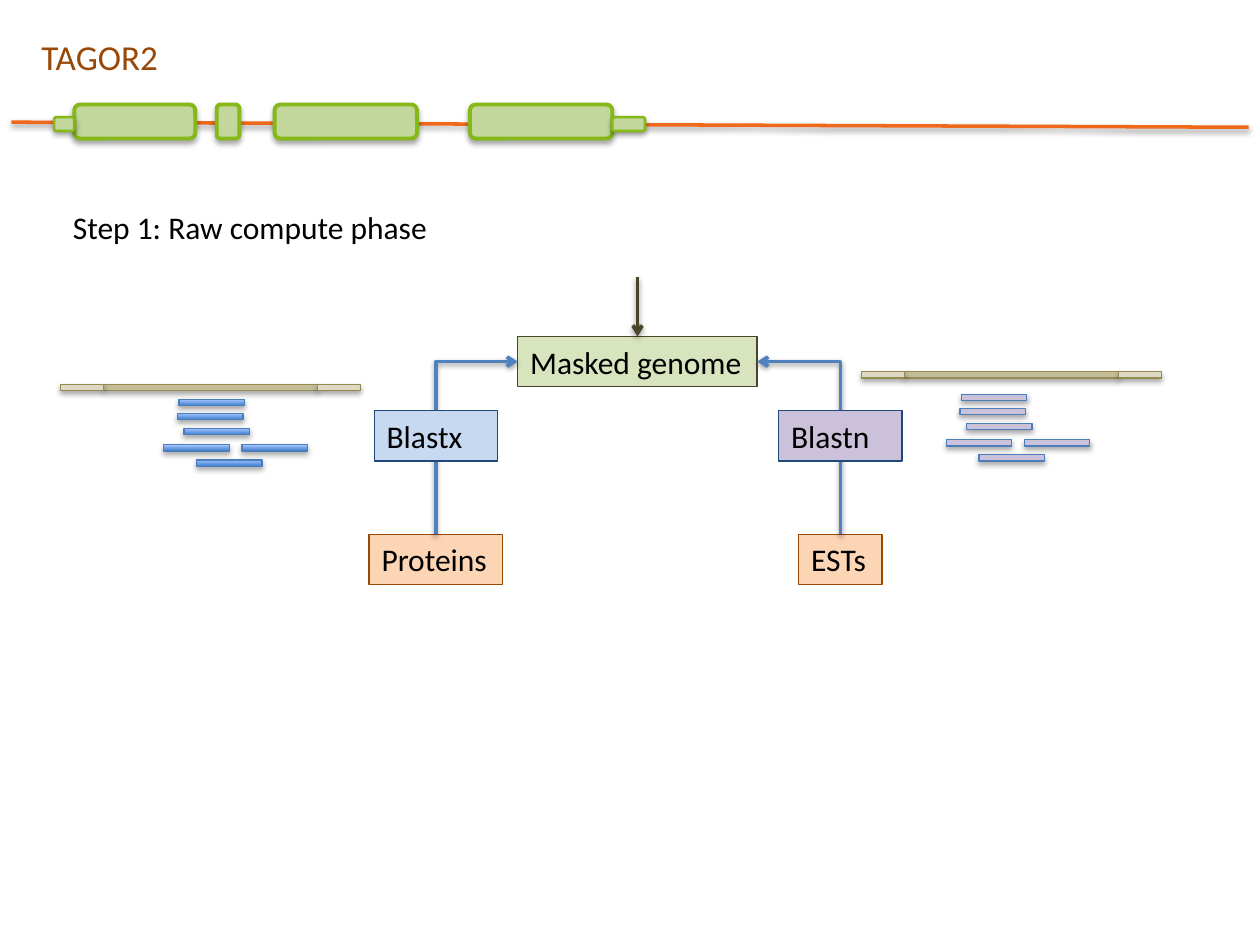
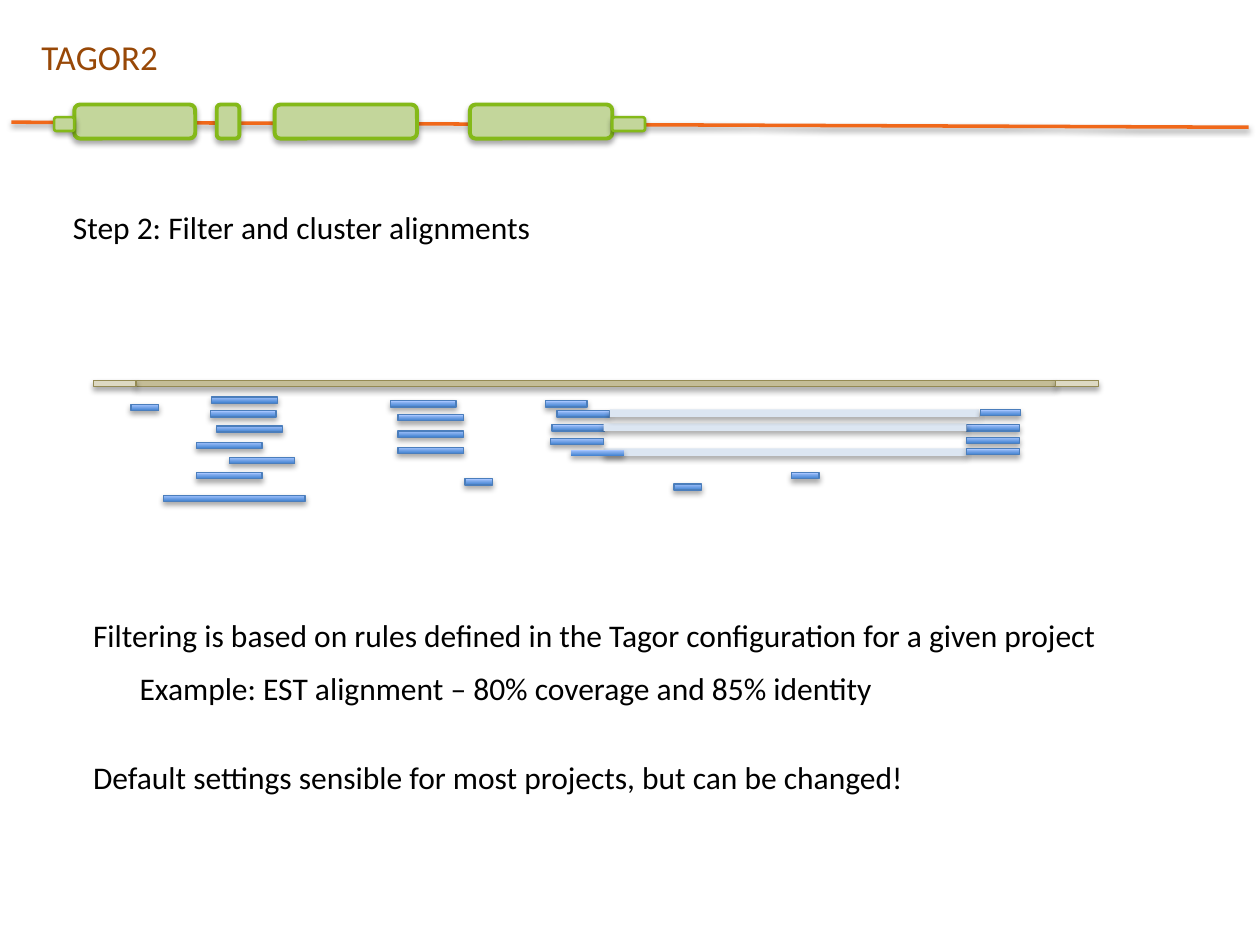
from dataclasses import dataclass

from lxml import etree
from pptx import Presentation
from pptx.dml.color import RGBColor
from pptx.enum import shapes as kinds, text as txt
from pptx.oxml import ns
from pptx.util import Inches, Pt


@dataclass(frozen=True)
class Theme:
    font: str = "Calibri"
    head: int = 20
    body: int = 18
    ink: str = "000000"
    brown: str = "984807"
    peach: str = "FCD5B5"
    orange: str = "F0681A"
    leaf: str = "C3D69B"
    green: str = "84B919"
    sage: str = "D7E4BD"
    olive: str = "4A452A"
    navy: str = "1F497D"
    sky: str = "C6D9F1"
    lilac: str = "CCC1DA"
    arrow: str = "4F81BD"
    edge: str = "4B7EBC"
    pale: str = "DCE6F2"
    sand: str = "C4BD97"
    flank: str = "DDD9C3"
    earth: str = "948A54"
    blue: tuple = ("3F80CE", "A4C4FF")


T = Theme()
RECT = kinds.MSO_SHAPE.RECTANGLE
ROUND = kinds.MSO_SHAPE.ROUNDED_RECTANGLE
THIN = 0.05    # height of an alignment bar
HIT = 0.52     # usual length of an alignment
FLANK = 0.34   # length of each contig end
# Offsets of stacked alignments from the left and top of their pile
PILE = [(0.12, 0), (0.11, 0.11), (0.16, 0.23), (0, 0.36), (0.26, 0.48)]


def rgb(code):
    return RGBColor.from_string(code)


def inches(*nums):
    return [Inches(n) for n in nums]


def shade(item, alpha, dist):
    """Give a shape or connector a soft shadow below it; call after its line is set."""
    props = item.element.spPr
    for old in props.findall(ns.qn("a:effectLst")):
        props.remove(old)
    fx = etree.SubElement(props, ns.qn("a:effectLst"))
    drop = etree.SubElement(fx, ns.qn("a:outerShdw"), blurRad="40000",
                            dist=str(dist), dir="5400000", rotWithShape="0")
    tone = etree.SubElement(drop, ns.qn("a:srgbClr"), val=T.ink)
    etree.SubElement(tone, ns.qn("a:alpha"), val=str(alpha * 1000))


def block(slide, box, fill, edge=None, width=0.75, kind=RECT, lift=True):
    """Draw a filled shape; a pair of colours as fill runs from bottom to top."""
    item = slide.shapes.add_shape(kind, *inches(*box))
    item.shadow.inherit = False
    if isinstance(fill, tuple):
        item.fill.gradient()
        item.fill.gradient_angle = 90
        for stop, code, spot in zip(item.fill.gradient_stops, fill, (0, 1)):
            stop.color.rgb = rgb(code)
            stop.position = spot
    else:
        item.fill.solid()
        item.fill.fore_color.rgb = rgb(fill)
    if edge:
        item.line.color.rgb = rgb(edge)
        item.line.width = Pt(width)
    else:
        item.line.fill.background()
    if lift:
        shade(item, 35, 23000)
    return item


def write(item, words, size=T.body, color=T.ink, wrap=False):
    frame = item.text_frame
    frame.word_wrap = wrap
    frame.auto_size = txt.MSO_AUTO_SIZE.SHAPE_TO_FIT_TEXT
    frame.vertical_anchor = txt.MSO_ANCHOR.TOP
    para = frame.paragraphs[0]
    para.text = words
    para.alignment = txt.PP_ALIGN.LEFT
    para.font.name = T.font
    para.font.size = Pt(size)
    para.font.color.rgb = rgb(color)


def label(slide, box, words, size=T.body, color=T.ink):
    write(slide.shapes.add_textbox(*inches(*box)), words, size, color)


def node(slide, box, words, fill, edge, wrap=False):
    item = block(slide, box, fill, edge, lift=False)
    write(item, words, wrap=wrap)
    return item


def link(slide, ends, color, start=None, stop=None, bent=False, tip=None):
    """Draw a connector; start and stop are (shape, side), tip is headEnd or tailEnd."""
    kind = kinds.MSO_CONNECTOR.ELBOW if bent else kinds.MSO_CONNECTOR.STRAIGHT
    line = slide.shapes.add_connector(kind, *inches(*ends))
    if start:
        line.begin_connect(*start)
    if stop:
        line.end_connect(*stop)
    line.line.color.rgb = rgb(color)
    line.line.width = Pt(2)
    if bent:
        line.element.spPr.find(ns.qn("a:prstGeom")).set("prst", "bentConnector2")
    if tip:
        stroke = line.element.spPr.find(ns.qn("a:ln"))
        etree.SubElement(stroke, ns.qn(f"a:{tip}"), type="arrow")
    shade(line, 38, 20000)


def banner(slide, x, y):
    """Draw the gene model along the top, from its left end and the top of its exons."""
    link(slide, (x, y + 0.14, x + 9.82, y + 0.18), T.orange)
    for dx, width in [(0.5, 0.96), (1.63, 0.18), (2.09, 1.13), (3.64, 1.13)]:
        block(slide, (x + dx, y, width, 0.27), T.leaf, T.green, 2.25, ROUND)
    for dx, width in [(4.77, 0.26), (0.34, 0.16)]:
        block(slide, (x + dx, y + 0.1, width, 0.11), T.leaf, T.green, 1.5, ROUND)


def page(deck, step, width):
    slide = deck.slides.add_slide(deck.slide_layouts[6])
    banner(slide, 0.09, 0.83)
    label(slide, (0.23, 0.23, 1.23, 0.44), "TAGOR2", T.head, T.brown)
    label(slide, (0.48, 1.6, width, 0.4), step)
    return slide


def contig(slide, x, y, core):
    block(slide, (x + FLANK, y, core, THIN), T.sand, T.earth)
    for left in (x + FLANK + core, x):
        block(slide, (left, y, FLANK, THIN), T.flank, T.earth)


def hits(slide, x, y, spots, fill=T.blue, width=HIT, edge=T.edge):
    """Draw alignments of one length at offsets from a corner."""
    for dx, dy in spots:
        block(slide, (x + dx, y + dy, width, THIN), fill, edge)


def search(slide, x, y, goal, side, tool, fill, tint, source, width):
    """Draw source, search tool and arrow to the goal, centred on x from the tool's top y."""
    base = node(slide, (x - width / 2, y + 0.98, width, 0.4), source, T.peach, T.brown)
    link(slide, (5, 3, x, y), tint, (goal, side), (base, 0), True, "headEnd")
    node(slide, (x - 0.49, y, 0.98, 0.4), tool, fill, T.navy, True)


def compute(deck):
    slide = page(deck, "Step 1: Raw compute phase", 3.05)
    goal = node(slide, (4.11, 2.67, 1.9, 0.4), "Masked genome", T.sage, T.olive)
    link(slide, (5.06, 2.2, 5.06, 2.67), T.olive, stop=(goal, 0), tip="tailEnd")
    search(slide, 3.46, 3.26, goal, 1, "Blastx", T.sky, T.arrow, "Proteins", 1.06)
    search(slide, 6.67, 3.26, goal, 3, "Blastn", T.lilac, T.arrow, "ESTs", 0.66)
    spots = PILE + [(0.62, 0.36)]
    hits(slide, 1.3, 3.17, spots)
    hits(slide, 7.51, 3.13, spots, T.lilac)
    contig(slide, 0.48, 3.05, 1.7)
    contig(slide, 6.84, 2.95, 1.7)


def spliced(slide, x, y):
    """Draw the alignments whose halves are joined across a gap."""
    block(slide, (x + 0.46, y + 0.38, 2.88, 0.06), T.pale)
    hits(slide, x, y, [(0, 0)], width=0.33)
    hits(slide, x, y, [(0.09, 0.08), (0.05, 0.19), (0.04, 0.3)], width=0.42)
    hits(slide, x, y, [(3.34, 0.19), (3.34, 0.29), (3.34, 0.38)], width=0.42)
    hits(slide, x, y, [(0.2, 0.39)], width=0.42, edge=None)
    block(slide, (x + 0.46, y + 0.18, 2.88, 0.06), T.pale)
    block(slide, (x + 0.51, y + 0.07, 2.93, 0.06), T.pale)
    hits(slide, x, y, [(3.45, 0.07)], width=0.32)


def cluster(deck):
    slide = page(deck, "Step 2: Filter and cluster alignments", 3.88)
    x, y = 0.74, 3.02
    hits(slide, x + 0.82, y + 0.13, PILE + [(0, 0.6)])
    contig(slide, x, y, 7.3)
    hits(slide, x, y, [(2.36, 0.16), (2.42, 0.27), (2.42, 0.4), (2.42, 0.53)])
    spliced(slide, x + 3.59, y + 0.16)
    hits(slide, x, y, [(0.56, 0.91)], width=1.12)
    strays = [(2.95, 0.78), (0.3, 0.19), (5.54, 0.73), (4.61, 0.82)]
    hits(slide, x, y, strays, width=0.22)
    notes = [
        (0.64, 4.84, 8.38, "Filtering is based on rules defined in the Tagor "
                           "configuration for a given project"),
        (1.01, 5.26, 6.1, "Example: EST alignment – 80% coverage and 85% identity"),
        (0.64, 5.97, 6.72, "Default settings sensible for most projects, "
                           "but can be changed!"),
    ]
    for left, top, width, words in notes:
        label(slide, (left, top, width, 0.4), words)


def main():
    deck = Presentation()
    deck.slide_width, deck.slide_height = inches(10, 7.5)
    compute(deck)
    cluster(deck)
    deck.save("out.pptx")


if __name__ == "__main__":
    main()
